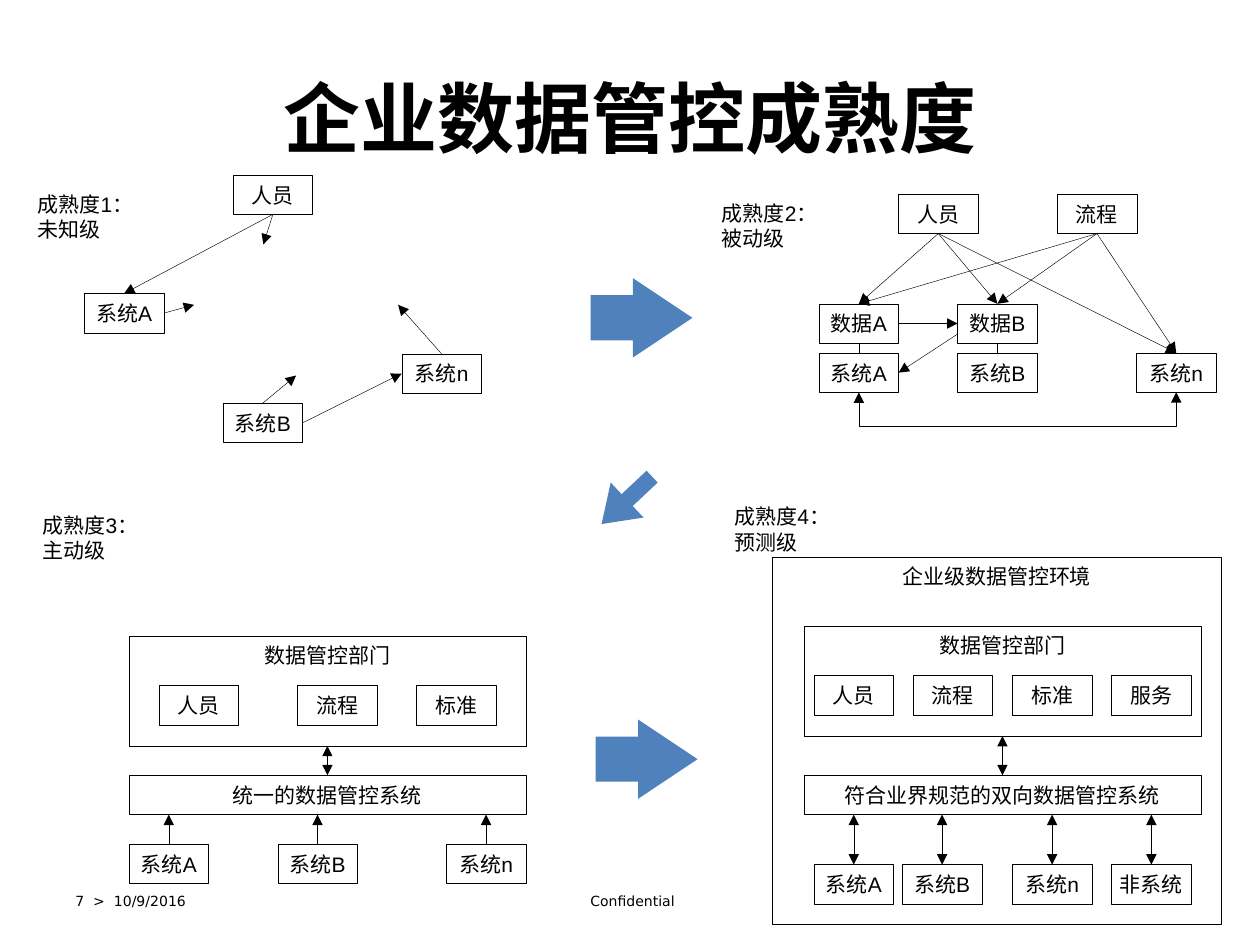
import dataclasses

import pptx
import pptx.dml.color
import pptx.enum.shapes
import pptx.enum.text
import pptx.oxml.ns
import pptx.util
from lxml import etree

Pt = pptx.util.Pt
Shape = pptx.enum.shapes.MSO_SHAPE
Connector = pptx.enum.shapes.MSO_CONNECTOR
Align = pptx.enum.text.PP_ALIGN
Anchor = pptx.enum.text.MSO_ANCHOR
AutoSize = pptx.enum.text.MSO_AUTO_SIZE
qn = pptx.oxml.ns.qn

TOP, LEFT, BOTTOM, RIGHT = range(4)


@dataclasses.dataclass(frozen=True)
class Theme:
    """Colours, fonts and sizes of the slide."""
    ink: str = "000000"
    paper: str = "FFFFFF"
    accent: str = "4F81BD"
    title_font: str = "Calibri"
    body_font: str = "Arial"
    footer_font: str = "DejaVu Sans"
    title_size: float = 44
    body_size: float = 12
    footer_size: float = 8
    line_width: float = 0.25
    node_width: float = 45.5
    node_height: float = 22.5


THEME = Theme()


def colour(value):
    """Turn a hex string into a colour."""
    return pptx.dml.color.RGBColor.from_string(value)


def write(shape, text, font=THEME.body_font, size=THEME.body_size, bold=False,
          align=Align.CENTER, anchor=Anchor.MIDDLE, wrap=True):
    """Put formatted text in a shape, one paragraph for each line."""
    frame = shape.text_frame
    frame.word_wrap = wrap
    frame.vertical_anchor = anchor
    frame.text = text
    for para in frame.paragraphs:
        para.alignment = align
        for span in para.runs:
            span.font.name = font
            span.font.size = Pt(size)
            span.font.bold = bold
            span.font.color.rgb = colour(THEME.ink)


def add_text(page, box, text, **style):
    """Add a text box and return it."""
    shape = page.shapes.add_textbox(*map(Pt, box))
    write(shape, text, **style)
    return shape


def add_label(page, box, level, name):
    """Add the two-line heading of a maturity level."""
    label = add_text(page, box, f"成熟度{level}：\n{name}级", align=Align.LEFT, anchor=Anchor.TOP)
    label.text_frame.auto_size = AutoSize.SHAPE_TO_FIT_TEXT


def add_panel(page, box, text, anchor=Anchor.MIDDLE):
    """Add an outlined rectangle with a caption."""
    panel = page.shapes.add_shape(Shape.RECTANGLE, *map(Pt, box))
    panel.shadow.inherit = False
    panel.fill.solid()
    panel.fill.fore_color.rgb = colour(THEME.paper)
    panel.line.color.rgb = colour(THEME.ink)
    panel.line.width = Pt(THEME.line_width)
    write(panel, text, anchor=anchor, wrap=False)
    return panel


def add_node(page, origin, x, y, text):
    """Add a small box offset from an origin."""
    box = (origin[0] + x, origin[1] + y, THEME.node_width, THEME.node_height)
    return add_panel(page, box, text)


def add_link(page, start, end, heads=("tail",), kind=Connector.STRAIGHT):
    """Connect two ends, each a (shape, site) pair or an (x, y) point."""
    link = page.shapes.add_connector(kind, 0, 0, 0, 0)
    if isinstance(start[0], (int, float)):
        link.begin_x, link.begin_y = map(Pt, start)
    else:
        link.begin_connect(*start)
    if isinstance(end[0], (int, float)):
        link.end_x, link.end_y = map(Pt, end)
    else:
        link.end_connect(*end)
    link.line.color.rgb = colour(THEME.ink)
    link.line.width = Pt(THEME.line_width)
    properties = link._element.spPr
    for head in heads:
        etree.SubElement(properties.find(qn("a:ln")), qn(f"a:{head}End"), type="triangle")
    etree.SubElement(properties, qn("a:effectLst"))
    return link


def add_under_link(page, first, last, drop):
    """Join the bottoms of two level boxes by an elbow that dips below them."""
    link = add_link(page, (first, BOTTOM), (last, BOTTOM), ("head", "tail"), Connector.ELBOW)
    span, depth = last.left - first.left, Pt(0.1)
    link.left = first.left + (first.width + span) // 2
    link.top = first.top + first.height - span // 2
    link.width, link.height = depth, span
    properties = link._element.spPr
    frame = properties.find(qn("a:xfrm"))
    frame.set("rot", str(270 * 60000))
    frame.set("flipH", "1")
    guides = properties.find(qn("a:prstGeom")).get_or_add_avLst()
    etree.SubElement(guides, qn("a:gd"), name="adj1", fmla=f"val {Pt(drop) * 100000 // depth}")


def add_block_arrow(page, box, shaft=0.57, head=0.75, rotation=0):
    """Add a solid arrow leading to the next level."""
    arrow = page.shapes.add_shape(Shape.RIGHT_ARROW, *map(Pt, box))
    arrow.shadow.inherit = False
    arrow.adjustments[0], arrow.adjustments[1] = shaft, head
    arrow.rotation = rotation
    arrow.fill.solid()
    arrow.fill.fore_color.rgb = colour(THEME.accent)
    arrow.line.fill.background()


def draw_unknown(page, origin):
    """Draw level 1, with loose systems and links to nowhere."""
    system_a = add_node(page, origin, 0, 67.7, "系统A")
    system_b = add_node(page, origin, 79.2, 130.4, "系统B")
    system_n = add_node(page, origin, 181.4, 102.2, "系统n")
    staff = add_node(page, origin, 85, 0, "人员")
    add_link(page, (staff, BOTTOM), (system_a, TOP))
    add_link(page, (system_b, RIGHT), (system_n, LEFT))
    dangling = (((system_a, RIGHT), 62.7, 74.2), ((system_n, TOP), 179.3, 74.2),
                ((system_b, TOP), 121, 114.6), ((staff, BOTTOM), 102.3, 39.7))
    for start, x, y in dangling:
        add_link(page, start, (origin[0] + x, origin[1] + y))


def draw_reactive(page, origin):
    """Draw level 2, with staff and process feeding data and systems."""
    columns = {"A": 0, "B": 79.2, "n": 181.4}
    systems = {key: add_node(page, origin, x, 90.7, f"系统{key}") for key, x in columns.items()}
    data = {key: add_node(page, origin, columns[key], 62.6, f"数据{key}") for key in "AB"}
    for x, name in ((45.4, "人员"), (136.1, "流程")):
        source = add_node(page, origin, x, 0, name)
        for target in (data["A"], data["B"], systems["n"]):
            add_link(page, (source, BOTTOM), (target, TOP))
    for key in data:
        add_link(page, (systems[key], TOP), (data[key], BOTTOM), heads=())
    add_link(page, (data["A"], RIGHT), (data["B"], LEFT))
    add_link(page, (origin[0] + columns["B"], origin[1] + 79.9), (systems["A"], RIGHT))
    add_under_link(page, systems["A"], systems["n"], 17)


def draw_governed(page, box, roles, platform, systems, platform_y, system_y, heads):
    """Draw a department, its shared platform and the systems below it."""
    left, top, width, height = box
    department = add_panel(page, box, "数据管控部门", anchor=Anchor.TOP)
    for x, name in roles:
        add_node(page, (left, top), x, 28.1, name)
    hub = add_panel(page, (left, top + platform_y, width, THEME.node_height), platform)
    add_link(page, (department, BOTTOM), (hub, TOP), ("head", "tail"))
    for x, name in systems:
        system = add_node(page, (left, top), x, system_y, name)
        foot = (left + x + THEME.node_width / 2, top + platform_y + THEME.node_height)
        add_link(page, (system, TOP), foot, heads)


def draw_predictive(page, box):
    """Draw level 4, a governed stack inside the enterprise environment."""
    add_panel(page, box, "企业级数据管控环境", anchor=Anchor.TOP)
    names = ("人员", "流程", "标准", "服务")
    roles = [(5.7 + 56.7 * index, name) for index, name in enumerate(names)]
    systems = ((5.7, "系统A"), (56.2, "系统B"), (119.1, "系统n"), (175.8, "非系统"))
    draw_governed(page, (box[0] + 18, box[1] + 39.6, 226.8, 62.6), roles,
                  "符合业界规范的双向数据管控系统", systems, 85, 136.1, ("head", "tail"))


def main():
    """Build and save the slide."""
    deck = pptx.Presentation()
    deck.slide_width, deck.slide_height = Pt(720), Pt(540)
    page = deck.slides.add_slide(deck.slide_layouts[6])
    add_text(page, (36, 21.6, 648, 90), "企业数据管控成熟度",
             font=THEME.title_font, size=THEME.title_size, bold=True)
    footer = {"font": THEME.footer_font, "size": THEME.footer_size}
    add_text(page, (36, 500.4, 168, 28.8), "7  >  10/9/2016", align=Align.LEFT, **footer)
    add_text(page, (247.5, 500.4, 228, 28.8), "Confidential", **footer)

    draw_reactive(page, (468, 111))
    draw_unknown(page, (48.2, 100))
    draw_governed(page, (73.7, 363.6, 226.8, 62.6),
                  ((17, "人员"), (96.4, "流程"), (164.4, "标准")), "统一的数据管控系统",
                  ((0, "系统A"), (85, "系统B"), (181.3, "系统n")), 79.4, 118.8, ("tail",))
    draw_predictive(page, (441.4, 318.4, 256.3, 209.6))

    labels = ((14.4, 105.8, "未知"), (405.4, 111, "被动"),
              (17.3, 289.4, "主动"), (412.6, 284.4, "预测"))
    for level, (x, y, name) in enumerate(labels, start=1):
        add_label(page, (x, y, 79.2, 36), level, name)
    add_block_arrow(page, (337.5, 159, 58.2, 45.3))
    add_block_arrow(page, (340.4, 411.2, 58.2, 45.3))
    add_block_arrow(page, (338.4, 272.2, 39.6, 27.4), shaft=0.34, head=0.73, rotation=136.8)
    deck.save("out.pptx")


if __name__ == "__main__":
    main()
